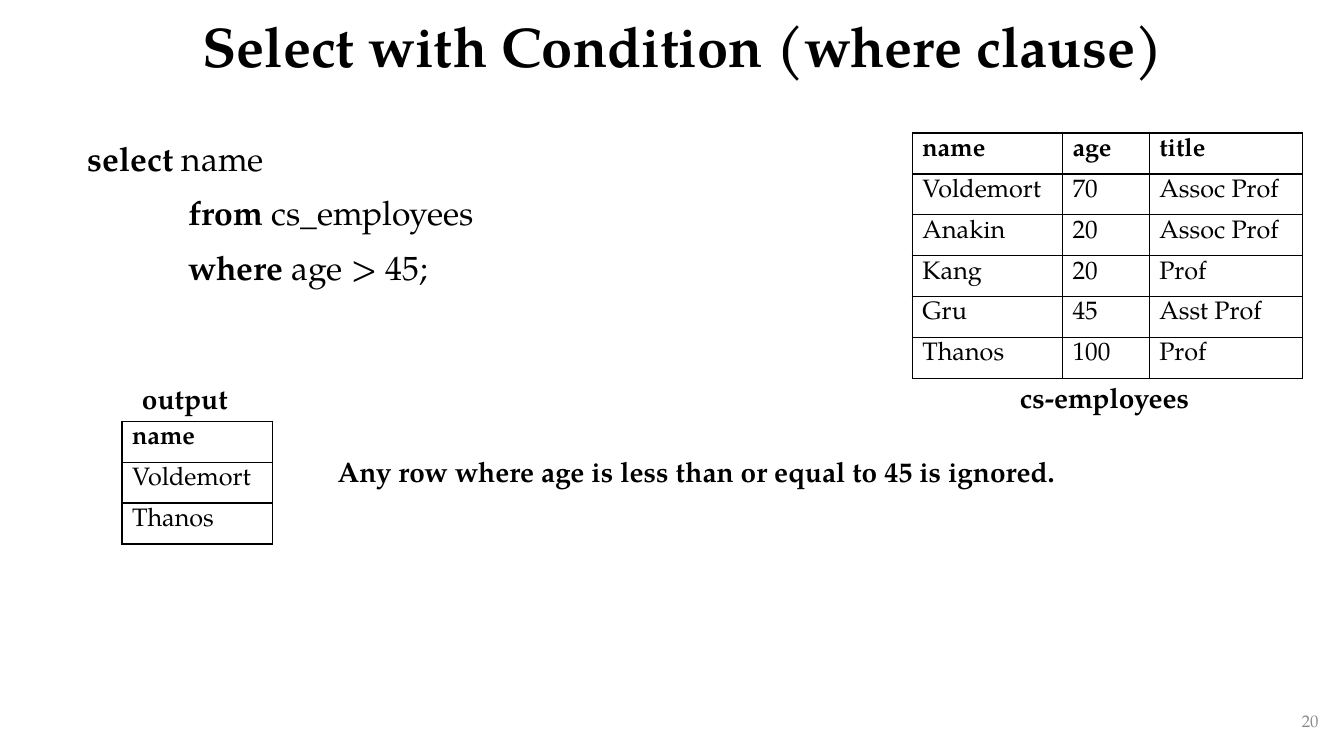
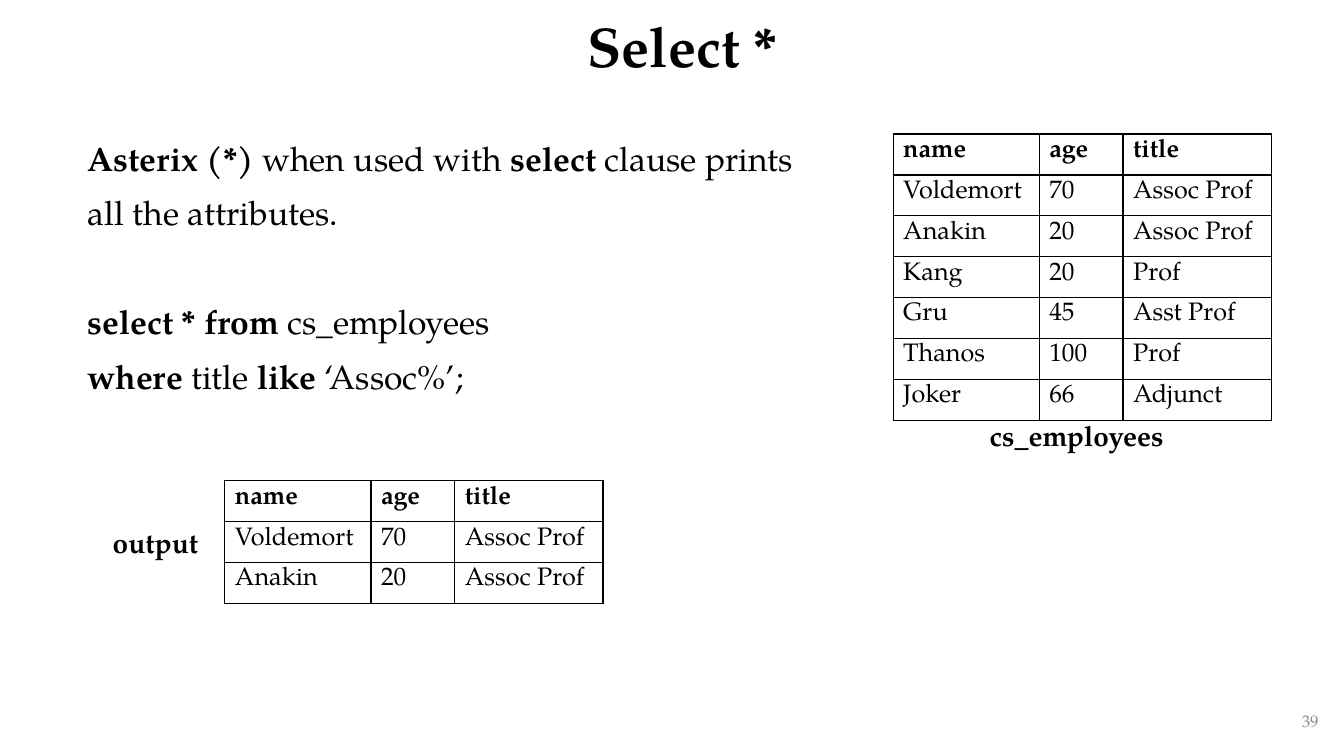
from dataclasses import dataclass
from typing import NamedTuple

import pptx
import pptx.dml.color
import pptx.enum.text
import pptx.oxml
import pptx.oxml.ns
import pptx.util

ALIGN = pptx.enum.text.PP_ALIGN
ANCHOR = pptx.enum.text.MSO_ANCHOR


@dataclass(frozen=True)
class Theme:
    font: str = "TeX Gyre Pagella"
    ink: str = "000000"
    muted: str = "8C8C8C"
    title: int = 40
    body: int = 24
    label: int = 20
    cell: int = 18
    number: int = 12
    para_gap: int = 10
    border: int = 1


THEME = Theme()
WIDTH = pptx.util.Inches(13.33)
HEIGHT = pptx.util.Inches(7.5)


class Box(NamedTuple):
    """Left, top, width and height in percent of the slide's size."""
    x: float
    y: float
    w: float
    h: float

    def emu(self) -> tuple[int, int, int, int]:
        return across(self.x), down(self.y), across(self.w), down(self.h)


class Run(NamedTuple):
    text: str
    bold: bool = False


class Para(NamedTuple):
    runs: tuple[Run, ...]
    indent: float = 0
    extra_gap: int = 0


class Label(NamedTuple):
    text: str
    x: float
    y: float
    w: float


class Grid(NamedTuple):
    x: float
    y: float
    cols: tuple[float, ...]
    rows: tuple[tuple[str, ...], ...]


@dataclass(frozen=True)
class Page:
    title: str
    number: int
    body_height: float
    body: tuple[Para, ...]
    labels: tuple[Label, ...]
    grids: tuple[Grid, ...]


TITLE_BOX = Box(7.65, 0, 86.25, 13.07)
NUMBER_BOX = Box(76.35, 92.67, 22.5, 5.33)
BODY_X, BODY_Y, BODY_W = 5.78, 17.6, 59.25
LABEL_H = 5.87
ROW_H = 5.41
TAB = 7.5

HEADER = ("name", "age", "title")
EMPLOYEES = (
    ("Voldemort", "70", "Assoc Prof"),
    ("Anakin", "20", "Assoc Prof"),
    ("Kang", "20", "Prof"),
    ("Gru", "45", "Asst Prof"),
    ("Thanos", "100", "Prof"),
)
WIDE_COLS = (11.18, 6.45, 11.4)
COLS = (10.88, 6.23, 11.03)

PAGES = (
    Page(
        "Select with Condition (where clause)", 20, 32,
        (
            Para((Run("select", True), Run(" name"))),
            Para((Run("from ", True), Run("cs_employees")), indent=TAB),
            Para((Run("where", True), Run(" age > 45;")), indent=TAB),
        ),
        (
            Label("output", 9.83, 49.87, 9.08),
            Label("Any row where age is less than or equal to 45 is ignored.",
                  24.38, 59.47, 55.8),
            Label("cs-employees", 75.15, 49.73, 15.08),
        ),
        (
            Grid(67.88, 17.6, WIDE_COLS, (HEADER, *EMPLOYEES)),
            Grid(9.08, 55.73, WIDE_COLS[:1],
                 (HEADER[:1], ("Voldemort",), ("Thanos",))),
        ),
    ),
    Page(
        "Select *", 39, 40,
        (
            Para((Run("Asterix (*)", True), Run(" when used with "),
                  Run("select", True), Run(" clause prints"))),
            Para((Run("all the attributes."),)),
            Para((Run("select * from ", True), Run("cs_employees")),
                 extra_gap=39),
            Para((Run("where ", True), Run("title"), Run(" like ", True),
                  Run("‘Assoc%’;"))),
        ),
        (
            Label("cs_employees", 72.9, 54.67, 15.08),
            Label("output", 7.65, 68.8, 9.08),
        ),
        (
            Grid(66.45, 17.73, COLS,
                 (HEADER, *EMPLOYEES, ("Joker", "66", "Adjunct"))),
            Grid(16.73, 63.6, COLS, (HEADER, *EMPLOYEES[:2])),
        ),
    ),
)


def across(share: float) -> int:
    return round(WIDTH * share / 100)


def down(share: float) -> int:
    return round(HEIGHT * share / 100)


def style(p, size: int, bold: bool | None = None,
          color: str = THEME.ink) -> None:
    p.font.name = THEME.font
    p.font.size = pptx.util.Pt(size)
    p.font.bold = bold
    p.font.color.rgb = pptx.dml.color.RGBColor.from_string(color)


def add_frame(s, box: Box, anchor=ANCHOR.TOP):
    tf = s.shapes.add_textbox(*box.emu()).text_frame
    tf.word_wrap = True
    tf.vertical_anchor = anchor
    return tf


def add_line(s, box: Box, text: str, size: int, bold: bool = True,
             color: str = THEME.ink, align=ALIGN.LEFT, anchor=ANCHOR.TOP):
    """Add a text box of one paragraph and return that paragraph."""
    p = add_frame(s, box, anchor).paragraphs[0]
    p.text = text
    p.alignment = align
    style(p, size, bold, color)
    return p


def add_body(s, box: Box, paras: tuple[Para, ...]) -> None:
    tf = add_frame(s, box)
    for i, para in enumerate(paras):
        p = tf.add_paragraph() if i else tf.paragraphs[0]
        p.alignment = ALIGN.JUSTIFY
        p.space_before = pptx.util.Pt(THEME.para_gap + para.extra_gap)
        style(p, THEME.body)
        if para.indent:
            pPr = p._p.get_or_add_pPr()
            pPr.set("marL", str(across(para.indent)))
            pPr.set("indent", "0")
        for run in para.runs:
            r = p.add_run()
            r.text = run.text
            r.font.bold = run.bold


def add_borders(cell) -> None:
    tcPr = cell._tc.get_or_add_tcPr()
    for i, side in enumerate(("lnL", "lnR", "lnT", "lnB")):
        tcPr.insert(i, pptx.oxml.parse_xml(
            f'<a:{side} {pptx.oxml.ns.nsdecls("a")} '
            f'w="{pptx.util.Pt(THEME.border)}"><a:solidFill>'
            f'<a:srgbClr val="{THEME.ink}"/></a:solidFill></a:{side}>'))


def add_grid(s, grid: Grid) -> None:
    box = Box(grid.x, grid.y, sum(grid.cols), ROW_H * len(grid.rows))
    table = s.shapes.add_table(
        len(grid.rows), len(grid.cols), *box.emu()).table
    table.first_row = table.horz_banding = False
    for col, width in zip(table.columns, grid.cols):
        col.width = across(width)
    for i, (row, values) in enumerate(zip(table.rows, grid.rows)):
        row.height = down(ROW_H)
        for cell, value in zip(row.cells, values):
            cell.text = value
            cell.fill.background()
            add_borders(cell)
            style(cell.text_frame.paragraphs[0], THEME.cell, i == 0)


def add_page(prs, page: Page) -> None:
    s = prs.slides.add_slide(prs.slide_layouts[6])
    add_body(s, Box(BODY_X, BODY_Y, BODY_W, page.body_height), page.body)
    add_line(s, NUMBER_BOX, str(page.number), THEME.number, False,
             THEME.muted, ALIGN.RIGHT, ANCHOR.MIDDLE)
    title = add_line(s, TITLE_BOX, page.title, THEME.title,
                     align=ALIGN.CENTER, anchor=ANCHOR.MIDDLE)
    title.line_spacing = 0.9
    for grid in page.grids:
        add_grid(s, grid)
    for label in page.labels:
        add_line(s, Box(label.x, label.y, label.w, LABEL_H), label.text,
                 THEME.label)


def main() -> None:
    prs = pptx.Presentation()
    prs.slide_width, prs.slide_height = WIDTH, HEIGHT
    for page in PAGES:
        add_page(prs, page)
    prs.save("out.pptx")


if __name__ == "__main__":
    main()
